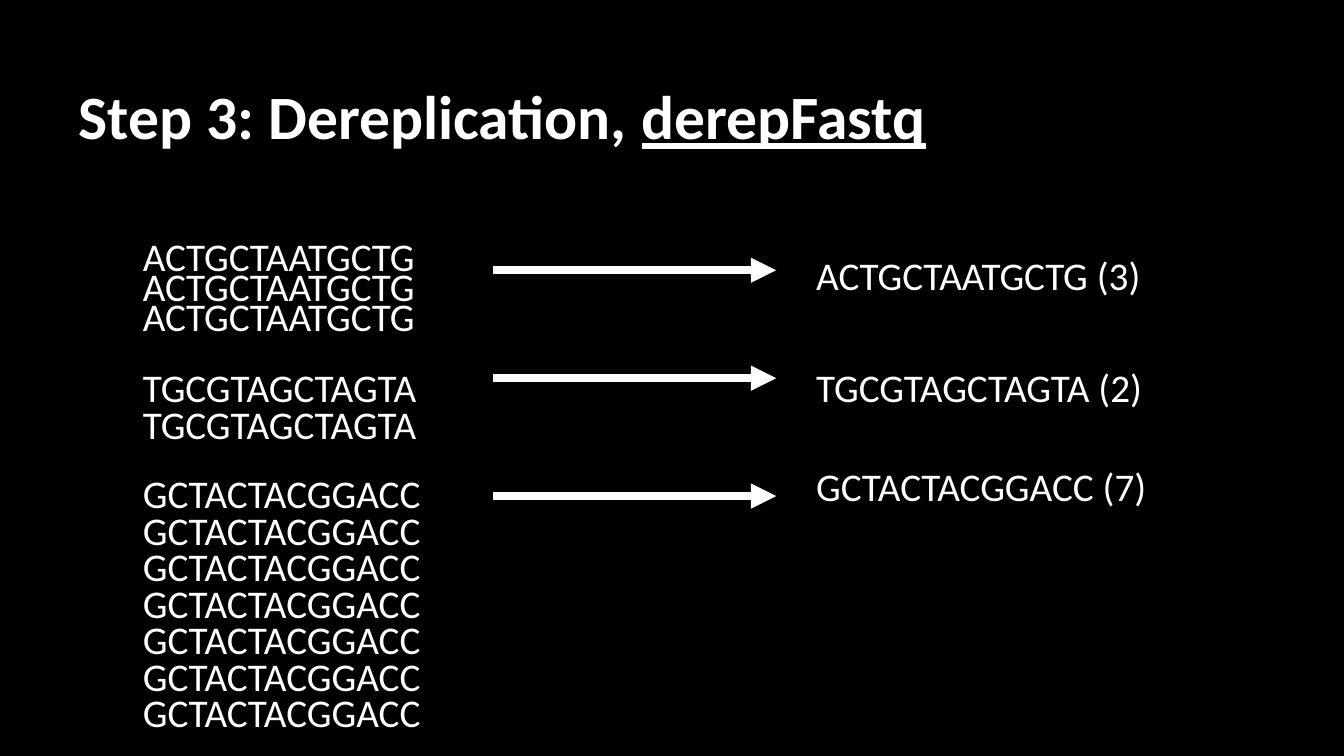
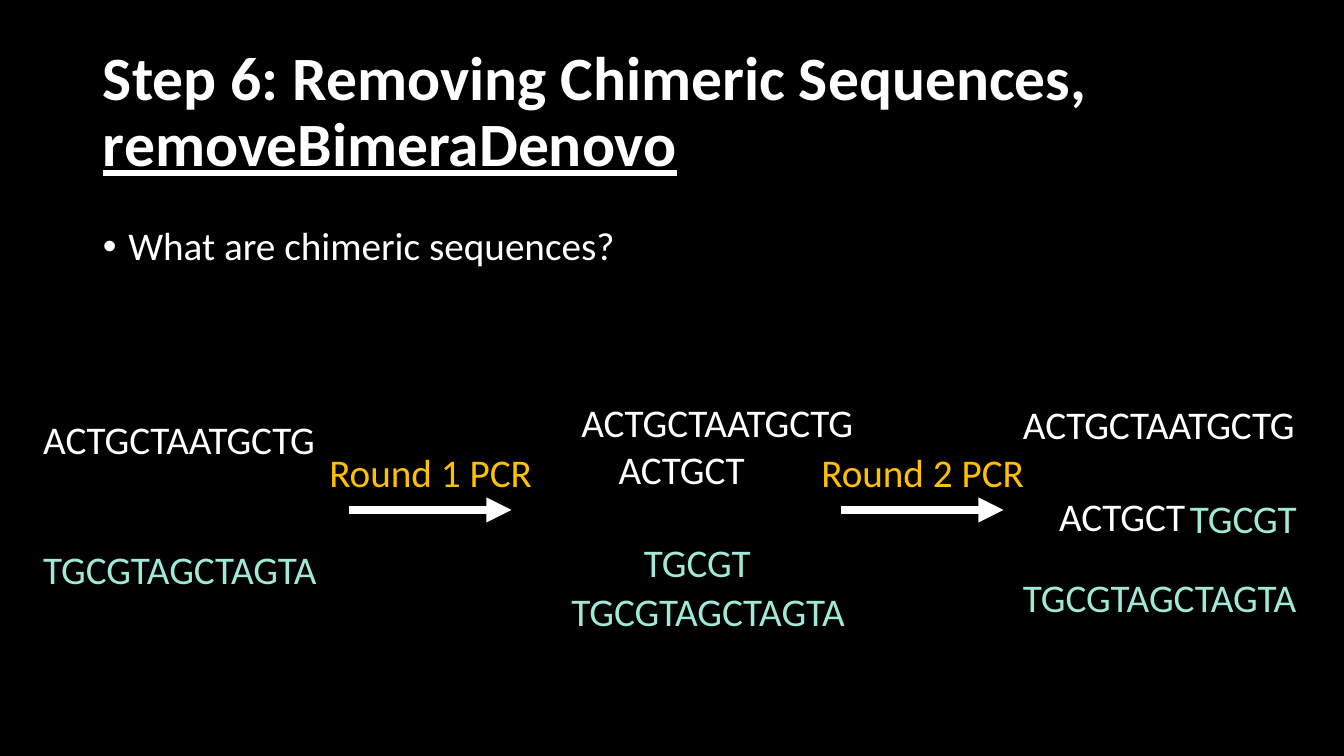
"""Build two slides on sequence dereplication and chimera removal."""
import pptx
import pptx.util
import pptx.dml.color
import pptx.enum.shapes
import pptx.enum.text
import pptx.oxml.ns
from lxml import etree

Cm = pptx.util.Cm
Pt = pptx.util.Pt
RGBColor = pptx.dml.color.RGBColor
qn = pptx.oxml.ns.qn

BLACK = RGBColor(0x00, 0x00, 0x00)
WHITE = RGBColor(0xFF, 0xFF, 0xFF)
MINT = RGBColor(0xA0, 0xE9, 0xD6)
GOLD = RGBColor(0xFF, 0xC0, 0x00)
FONT = "Calibri"
TITLE_SIZE = 44
TEXT_SIZE = 28
LAYOUT_CONTENT = 1
LAYOUT_TITLE_ONLY = 5

SEQ_A = "ACTGCTAATGCTG"
SEQ_B = "TGCGTAGCTAGTA"
SEQ_C = "GCTACTACGGACC"
PART_A = "ACTGCT"
PART_B = "TGCGT"


def format_run(r, color=WHITE, size=TEXT_SIZE):
    """Apply the deck font to a run."""
    r.font.name = FONT
    r.font.size = Pt(size)
    r.font.color.rgb = color


def place(sp, left, top, width, height):
    """Position a shape, in centimetres."""
    sp.left, sp.top = Cm(left), Cm(top)
    sp.width, sp.height = Cm(width), Cm(height)


def set_title(slide, text, function, left, top):
    """Fill the title with a bold step name and an underlined function."""
    sp = slide.shapes.title
    place(sp, left, top, 29.21, 3.68)
    tf = sp.text_frame
    tf.auto_size = pptx.enum.text.MSO_AUTO_SIZE.NONE
    tf.vertical_anchor = pptx.enum.text.MSO_ANCHOR.MIDDLE
    p = tf.paragraphs[0]
    p.text = text
    p.alignment = pptx.enum.text.PP_ALIGN.LEFT
    p.line_spacing = 0.9
    p.add_run().text = function
    for r in p.runs:
        format_run(r, size=TITLE_SIZE)
        r.font.bold = True
    p.runs[-1].font.underline = True


def set_bullet(slide, text):
    """Fill the body placeholder with one bulleted line."""
    sp = slide.placeholders[1]
    place(sp, 2.34, 5.59, 29.21, 12.09)
    tf = sp.text_frame
    tf.auto_size = pptx.enum.text.MSO_AUTO_SIZE.NONE
    p = tf.paragraphs[0]
    p.text = text
    p.line_spacing = 0.9
    p.space_before = Pt(10)
    format_run(p.runs[0])
    pPr = p._p.get_or_add_pPr()
    pPr.set("marL", str(Cm(0.64)))
    pPr.set("indent", str(-Cm(0.64)))
    etree.SubElement(pPr, qn("a:buChar")).set("char", "•")


def add_label(slide, text, left, top, color=WHITE, width=8.2):
    """Add a one-line text box."""
    sp = slide.shapes.add_textbox(Cm(left), Cm(top), Cm(width), Cm(1.45))
    tf = sp.text_frame
    tf.word_wrap = True
    tf.auto_size = pptx.enum.text.MSO_AUTO_SIZE.SHAPE_TO_FIT_TEXT
    tf.text = text
    format_run(tf.paragraphs[0].runs[0], color)


def add_arrow(slide, left, right, y):
    """Add a thick horizontal arrow pointing right."""
    line = slide.shapes.add_connector(
        pptx.enum.shapes.MSO_CONNECTOR.STRAIGHT, Cm(left), Cm(y), Cm(right), Cm(y))
    line.line.color.rgb = WHITE
    line.line.width = Pt(6)
    etree.SubElement(line.line._get_or_add_ln(), qn("a:tailEnd")).set("type", "triangle")
    etree.SubElement(line._element.spPr, qn("a:effectLst"))


def build_dereplication(prs):
    """Show repeated reads collapsing into counted sequences."""
    slide = prs.slides.add_slide(prs.slide_layouts[LAYOUT_TITLE_ONLY])
    set_title(slide, "Step 3: Dereplication, ", "derepFastq", 1.73, 1.17)
    groups = [
        (SEQ_A, 3, 5.72, 0.76, 6.22, 6.81),
        (SEQ_B, 2, 9.02, 0.94, 9.02, 9.53),
        (SEQ_C, 7, 11.71, 0.92, 11.53, 12.5),
    ]
    for seq, count, top, pitch, result_top, arrow_y in groups:
        for i in range(count):
            add_label(slide, seq, 3.35, top + i * pitch)
        add_arrow(slide, 12.42, 19.56, arrow_y)
        add_label(slide, f"{seq} ({count})", 20.32, result_top, width=12)


def build_chimeras(prs):
    """Show a chimera forming over two rounds of PCR."""
    slide = prs.slides.add_slide(prs.slide_layouts[LAYOUT_CONTENT])
    set_title(slide, "Step 6: Removing Chimeric Sequences, ",
              "removeBimeraDenovo", 2.34, 1.02)
    set_bullet(slide, "What are chimeric sequences?")
    sequences = [
        (SEQ_A, 0.84, 10.34, WHITE),
        (SEQ_B, 0.84, 13.61, MINT),
        (SEQ_A, 14.4, 9.91, WHITE),
        (PART_A, 15.34, 11.1, WHITE),
        (PART_B, 15.98, 13.44, MINT),
        (SEQ_B, 14.15, 14.68, MINT),
        (SEQ_A, 25.53, 9.96, WHITE),
        (SEQ_B, 25.53, 14.33, MINT),
    ]
    for text, left, top, color in sequences:
        add_label(slide, text, left, top, color)
    add_label(slide, PART_A, 26.44, 12.29, WHITE, width=4)
    add_label(slide, PART_B, 29.74, 12.32, MINT, width=4)
    for number, left in enumerate((8.05, 20.45), start=1):
        add_label(slide, f"Round {number} PCR", left, 11.18, GOLD)
        add_arrow(slide, left + 0.75, left + 4.84, 12.85)


def main():
    """Create the deck and save it."""
    prs = pptx.Presentation()
    prs.slide_width, prs.slide_height = Cm(33.87), Cm(19.05)
    fill = prs.slide_master.background.fill
    fill.solid()
    fill.fore_color.rgb = BLACK
    build_dereplication(prs)
    build_chimeras(prs)
    prs.save("out.pptx")


if __name__ == "__main__":
    main()
